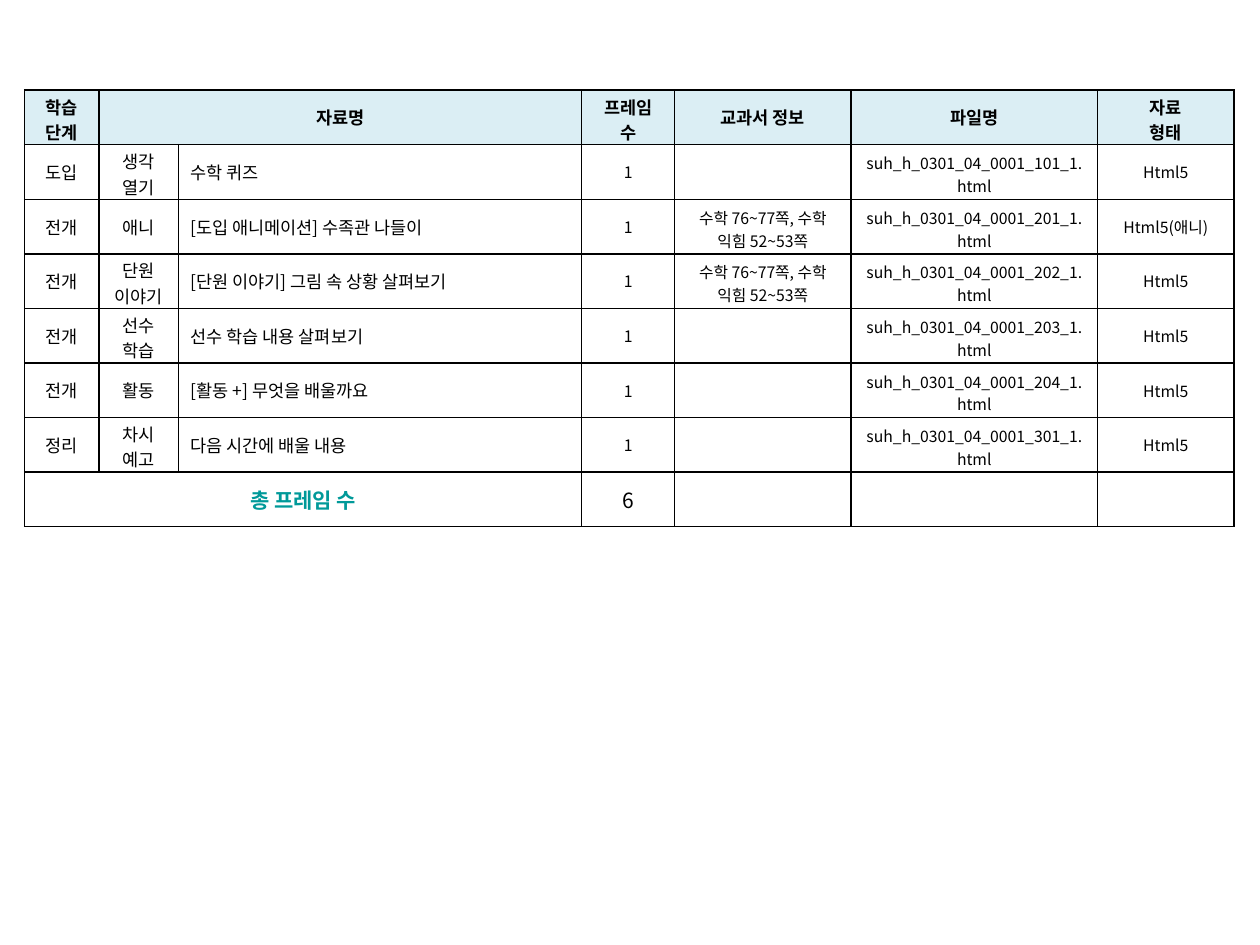
from lxml.etree import SubElement as Sub
from pptx import Presentation as Deck
from pptx.dml.color import RGBColor as Rgb
from pptx.enum.text import MSO_ANCHOR as Anchor, PP_ALIGN as Align
from pptx.oxml.ns import qn
from pptx.util import Pt

FONT = "Noto Sans CJK KR"
COLORS = {"ink": "000000", "head": "DBEEF4", "total": "009999"}
WIDTHS = [42.5, 45.4, 230.5, 53.2, 100.7, 141, 77.8]
ROW_H = 31.2
NAME_COL = 2

BODY = {"size": Pt(10), "bold": False}
SMALL = {"size": Pt(9), "bold": False}
HEAD = {"size": Pt(10), "bold": True}
TOTAL = {"size": Pt(12), "bold": True}
COUNT = {"size": Pt(12), "bold": False}

# Two lines of text only fit the row with smaller insets.
PADS = {
    "one": {"margin_top": Pt(3.6), "margin_bottom": Pt(3.6)},
    "small": {"margin_top": Pt(3.6), "margin_bottom": Pt(0.8)},
    "body": {"margin_top": Pt(2.2), "margin_bottom": Pt(0)},
}

HEADER = ["학습 단계", "자료명", "", "프레임 수", "교과서 정보", "파일명", "자료\n형태"]
HEAD_WRAPS = (0, 3, 6)
PAGES = "수학 76~77쪽, 수학 익힘 52~53쪽"
# stage, part, name, textbook pages, file number, type
LESSONS = [
    ("도입", "생각\n열기", "수학 퀴즈", "", 101, "Html5"),
    ("전개", "애니", "[도입 애니메이션] 수족관 나들이", PAGES, 201, "Html5(애니)"),
    ("전개", "단원\n이야기", "[단원 이야기] 그림 속 상황 살펴보기", PAGES, 202, "Html5"),
    ("전개", "선수\v학습", "선수 학습 내용 살펴보기", "", 203, "Html5"),
    ("전개", "활동", "[활동 +] 무엇을 배울까요", "", 204, "Html5"),
    ("정리", "차시 예고", "다음 시간에 배울 내용", "", 301, "Html5"),
]


def add_grid(slide, rows):
    """Add an unstyled table with the slide's column widths."""
    frame = slide.shapes.add_table(
        rows, len(WIDTHS), Pt(14), Pt(51.5), Pt(sum(WIDTHS)), Pt(ROW_H * rows))
    grid = frame.table
    grid.first_row = grid.horz_banding = False
    for col, width in zip(grid.columns, WIDTHS):
        col.width = Pt(width)
    for row in grid.rows:
        row.height = Pt(ROW_H)
    return grid


def add_edges(cell):
    props = cell._tc.get_or_add_tcPr()
    for side in ("lnL", "lnR", "lnT", "lnB"):
        line = Sub(props, qn("a:" + side), w=str(Pt(1)))
        fill = Sub(line, qn("a:solidFill"))
        Sub(fill, qn("a:srgbClr"), val=COLORS["ink"])


def set_all(item, values):
    for key, value in values.items():
        setattr(item, key, value)


def set_font(run, style, color):
    set_all(run.font, style)
    run.font.name = FONT
    run.font.color.rgb = Rgb.from_string(COLORS[color])
    props = run._r.get_or_add_rPr()
    props.set("kern", "0")
    Sub(props, qn("a:ea"), typeface=FONT)


def fill_cell(cell, text, style, color="ink", back=None, align=Align.CENTER, pad="one"):
    add_edges(cell)
    if back:
        cell.fill.solid()
        cell.fill.fore_color.rgb = Rgb.from_string(COLORS[back])
    else:
        cell.fill.background()
    cell.vertical_anchor = Anchor.MIDDLE
    set_all(cell, PADS[pad])
    if not text:
        return
    cell.text = text
    for para in cell.text_frame.paragraphs:
        para.alignment = align
        for run in para.runs:
            set_font(run, style, color)


def add_head(grid):
    for col, text in enumerate(HEADER):
        pad = "body" if col in HEAD_WRAPS else "one"
        fill_cell(grid.cell(0, col), text, HEAD, back="head", pad=pad)
    grid.cell(0, 1).merge(grid.cell(0, NAME_COL))


def add_lesson(grid, row, lesson):
    stage, part, name, pages, num, kind = lesson
    file = f"suh_h_0301_04_0001_{num}_1.html"
    part_pad = "body" if len(part) > 2 else "one"
    pads = ["one", part_pad, "one", "one", "small", "small", "one"]
    texts = [stage, part, name, "1", pages, file, kind]
    for col, (text, pad) in enumerate(zip(texts, pads)):
        style = BODY if col <= NAME_COL else SMALL
        align = Align.LEFT if col == NAME_COL else Align.CENTER
        fill_cell(grid.cell(row, col), text, style, align=align, pad=pad)


def add_total(grid, row):
    fill_cell(grid.cell(row, 0), "총 프레임 수", TOTAL, "total")
    for col in range(1, len(WIDTHS)):
        text = str(len(LESSONS)) if col == NAME_COL + 1 else ""
        fill_cell(grid.cell(row, col), text, COUNT)
    grid.cell(row, 0).merge(grid.cell(row, NAME_COL))


def main():
    deck = Deck()
    deck.slide_width, deck.slide_height = Pt(720), Pt(540)
    slide = deck.slides.add_slide(deck.slide_layouts[6])
    grid = add_grid(slide, len(LESSONS) + 2)
    add_head(grid)
    for row, lesson in enumerate(LESSONS, 1):
        add_lesson(grid, row, lesson)
    add_total(grid, len(LESSONS) + 1)
    deck.save("out.pptx")


if __name__ == "__main__":
    main()
